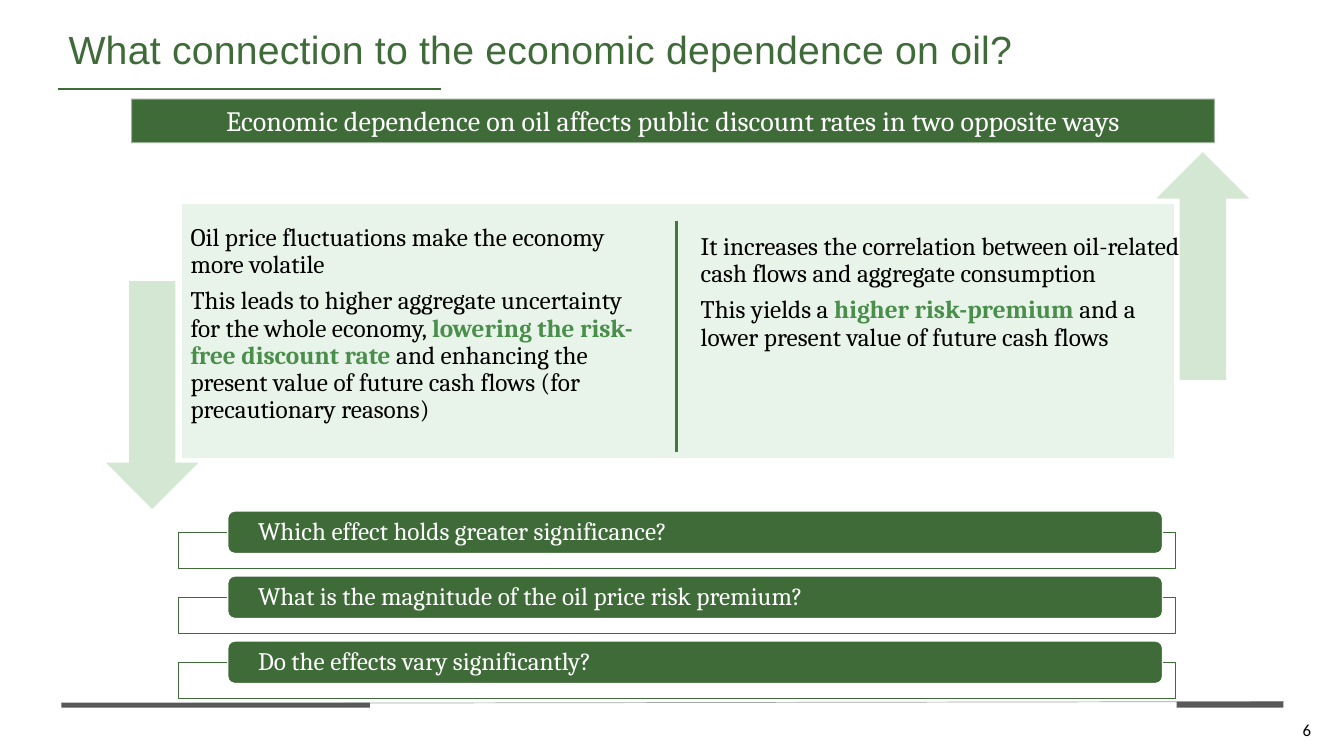
from lxml import etree
from pptx import Presentation
from pptx.dml.color import RGBColor
from pptx.enum.shapes import MSO_CONNECTOR as CONN, MSO_SHAPE as SHAPE
from pptx.enum.text import MSO_ANCHOR as ANCHOR, MSO_AUTO_SIZE as AUTO, PP_ALIGN as ALIGN
from pptx.oxml.ns import qn
from pptx.util import Inches, Pt

# Content
TITLE = "What connection to the economic dependence on oil?"
BANNER = "Economic dependence on oil affects public discount rates in two opposite ways"
PAGE = "6"
# Each effect: left, top, width, paragraphs; a paragraph is a list of (text, emphasised)
EFFECTS = [
    (1.85, 2.19, 4.7, [
        [("Oil price fluctuations make the economy more volatile", False)],
        [("This leads to higher aggregate uncertainty for the whole economy, ", False),
         ("lowering the risk-free discount rate", True),
         (" and enhancing the present value of future cash flows "
          "(for precautionary reasons)", False)]]),
    (6.91, 2.28, 4.91, [
        [("It increases the correlation between oil-related cash flows "
          "and aggregate consumption", False)],
        [("This yields a ", False), ("higher risk-premium", True),
         (" and a lower present value of future cash flows", False)]]),
]
QUESTIONS = [
    "Which effect holds greater significance?",
    "What is the magnitude of the oil price risk premium?",
    "Do the effects vary significantly?",
]

# Look
GREEN, ACCENT, DIVIDER = "3F6B39", "498E4B", "46763F"
PALE, ARROW = "E8F3E9", "D4E7D2"
GREY, LIGHT_GREY, WHITE, BLACK = "595959", "A5A5A5", "FFFFFF", "000000"
SERIF = "Cambria"
QUESTION_TOP, QUESTION_STEP = 5.07, 0.645

prs = Presentation()
prs.slide_width, prs.slide_height = Inches(13.33), Inches(7.5)
s = prs.slides.add_slide(prs.slide_layouts[5])


def rgb(value):
    return RGBColor.from_string(value)


def set_alpha(fill_parent, percent):
    color = fill_parent.find(".//" + qn("a:srgbClr"))
    etree.SubElement(color, qn("a:alpha")).set("val", str(percent * 1000))


def add_shape(kind, x, y, w, h, fill, line=None, weight=0.85):
    sp = s.shapes.add_shape(kind, Inches(x), Inches(y), Inches(w), Inches(h))
    sp.shadow.inherit = False
    sp.fill.solid()
    sp.fill.fore_color.rgb = rgb(fill)
    if line:
        sp.line.color.rgb = rgb(line)
        sp.line.width = Pt(weight)
    else:
        sp.line.fill.background()
    return sp


def add_line(x1, y1, x2, y2, color, weight):
    line = s.shapes.add_connector(CONN.STRAIGHT, Inches(x1), Inches(y1), Inches(x2), Inches(y2))
    line.line.color.rgb = rgb(color)
    line.line.width = Pt(weight)
    etree.SubElement(line._element.spPr, qn("a:effectLst"))


def set_frame(tf, left, top, anchor=ANCHOR.TOP, wrap=True):
    tf.margin_left = tf.margin_right = Inches(left)
    tf.margin_top = tf.margin_bottom = Inches(top)
    tf.vertical_anchor, tf.word_wrap, tf.auto_size = anchor, wrap, AUTO.NONE


def style(r, size, color, font=SERIF, bold=False):
    r.font.size, r.font.name, r.font.bold = Pt(size), font, bold
    r.font.color.rgb = rgb(color)


def write(tf, text, size, color, font=SERIF, align=ALIGN.LEFT):
    tf.text = text
    p = tf.paragraphs[0]
    p.alignment = align
    style(p.runs[0], size, color, font)
    return p


# Footer rule
add_line(0.61, 6.98, 12.73, 6.96, LIGHT_GREY, 0.5)
add_shape(SHAPE.RECTANGLE, 0.61, 6.97, 3.06, 0.05, GREY)
add_shape(SHAPE.RECTANGLE, 11.67, 6.96, 1.06, 0.06, GREY)

# Title and its underline
title = s.shapes.title
title.left, title.top, title.width, title.height = map(Inches, (0.68, 0.24, 9.79, 0.49))
set_frame(title.text_frame, 0, 0.01)
p = write(title.text_frame, TITLE, 28, GREEN, "Arial")
p.space_before = Pt(1)
p.runs[0].font._element.set("spc", "20")
add_line(0.58, 0.88, 4.37, 0.88, GREEN, 1.5)

# Page number
number = s.shapes.add_textbox(Inches(12.92), Inches(7.14), Inches(0.32), Inches(0.29))
set_frame(number.text_frame, 0, 0, wrap=False)
p = write(number.text_frame, PAGE, 12, BLACK, "Calibri")
p.space_before = p.space_after = Pt(3)

# Panel, banner and arrows
add_shape(SHAPE.RECTANGLE, 1.8, 2.02, 9.85, 2.53, PALE, WHITE)
banner = add_shape(SHAPE.RECTANGLE, 1.3, 0.98, 10.75, 0.44, GREEN, "F9F9F9", 1.35)
set_alpha(banner.line._ln, 50)
set_frame(banner.text_frame, 0.1, 0.05)
write(banner.text_frame, BANNER, 20, WHITE, align=ALIGN.CENTER)
add_shape(SHAPE.DOWN_ARROW, 1.05, 2.79, 0.92, 2.26, ARROW)
add_shape(SHAPE.UP_ARROW, 11.47, 1.51, 0.92, 2.26, ARROW)

# Questions: an outlined frame behind a rounded bar
for i, question in enumerate(QUESTIONS):
    y = QUESTION_TOP + i * QUESTION_STEP
    frame = add_shape(SHAPE.RECTANGLE, 1.77, y + 0.21, 9.89, 0.36, WHITE, GREEN)
    set_alpha(frame._element.spPr.find(qn("a:solidFill")), 90)
    bar = add_shape(SHAPE.ROUNDED_RECTANGLE, 2.26, y, 9.27, 0.42, GREEN, WHITE)
    set_frame(bar.text_frame, 0.28, 0, ANCHOR.MIDDLE)
    p = write(bar.text_frame, question, 18, WHITE)
    p.line_spacing = 0.9

# The two effects, with a divider between them
for x, y, w, paragraphs in EFFECTS:
    box = s.shapes.add_textbox(Inches(x), Inches(y), Inches(w), Inches(2.4))
    tf = box.text_frame
    set_frame(tf, 0.04, 0.04)
    for i, runs in enumerate(paragraphs):
        p = tf.add_paragraph() if i else tf.paragraphs[0]
        p.line_spacing, p.space_after = 0.9, Pt(6.3)
        for text, strong in runs:
            r = p.add_run()
            r.text = text
            style(r, 18, ACCENT if strong else BLACK, bold=strong)
add_line(6.71, 2.19, 6.71, 4.48, DIVIDER, 2)

prs.save("out.pptx")
